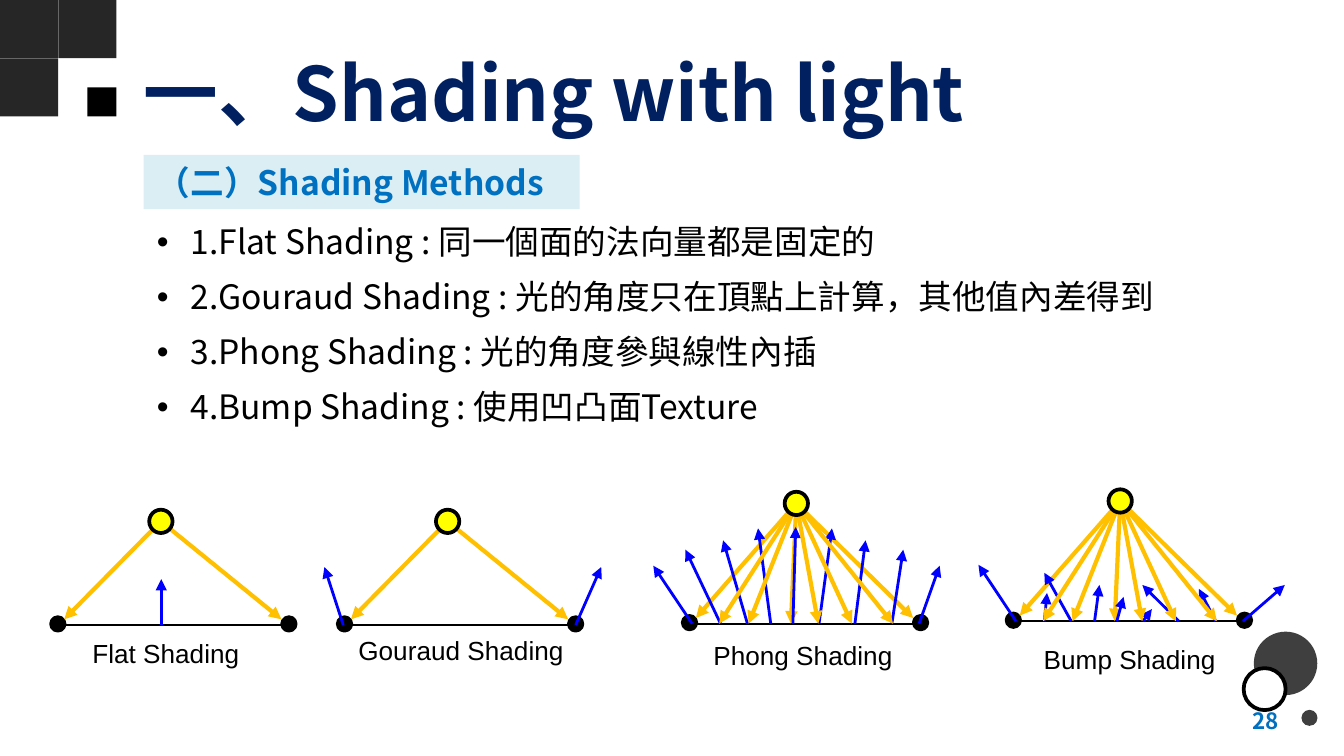
import lxml.etree
import pptx
import pptx.dml.color
import pptx.enum.shapes
import pptx.enum.text
import pptx.oxml.ns
import pptx.util

Pt = pptx.util.Pt
qn = pptx.oxml.ns.qn
ALIGN = pptx.enum.text.PP_ALIGN
ANCHOR = pptx.enum.text.MSO_ANCHOR
SHAPE = pptx.enum.shapes.MSO_SHAPE

COLORS = {
    "black": "000000", "white": "FFFFFF", "corner": "262626", "bubble": "3F3F3F",
    "title": "002060", "accent": "0070C0", "band": "DAEEF3",
    "normal": "0000FF", "ray": "FFC000", "light": "FFFF00",
}
CJK = "Noto Sans CJK TC"


def rgb(name):
    return pptx.dml.color.RGBColor.from_string(COLORS[name])


class Painter:
    """Holds the style and the slide being drawn; lengths are in points."""

    def __init__(self, slide):
        self.slide = slide

    def shape(self, kind, left, top, width, height, fill, outline=None):
        shape = self.slide.shapes.add_shape(kind, Pt(left), Pt(top), Pt(width), Pt(height))
        shape.shadow.inherit = False
        shape.fill.solid()
        shape.fill.fore_color.rgb = rgb(fill)
        if outline:
            shape.line.color.rgb = rgb(outline)
            shape.line.width = Pt(2)
        else:
            shape.line.fill.background()
        return shape

    def circle(self, x, y, diameter, fill, outline=None):
        """Draw a circle centred on x, y."""
        self.shape(SHAPE.OVAL, x - diameter / 2, y - diameter / 2,
                   diameter, diameter, fill, outline)

    def line(self, start, end, color, width, arrow=False):
        line = self.slide.shapes.add_connector(
            pptx.enum.shapes.MSO_CONNECTOR.STRAIGHT, *(Pt(value) for value in (*start, *end)))
        line.line.color.rgb = rgb(color)
        line.line.width = Pt(width)
        if arrow:
            outline = line._element.spPr.find(qn("a:ln"))
            lxml.etree.SubElement(outline, qn("a:tailEnd"), type="triangle")
        lxml.etree.SubElement(line._element.spPr, qn("a:effectLst"))

    def text(self, left, top, width, height, lines, **style):
        box = self.slide.shapes.add_textbox(Pt(left), Pt(top), Pt(width), Pt(height))
        self.fill_text(box.text_frame, lines, **style)

    def fill_text(self, frame, lines, size, color, font=CJK, bold=False,
                  align=ALIGN.LEFT, anchor=ANCHOR.TOP, bullets=False):
        frame.word_wrap = True
        frame.vertical_anchor = anchor
        for index, line in enumerate(lines):
            para = frame.paragraphs[0] if index == 0 else frame.add_paragraph()
            para.text = line
            para.alignment = align
            if bullets:
                self.bullet(para)
                para.line_spacing = 0.9
                if index:
                    para.space_before = Pt(10)
            para.font.name = font
            para.font.size = Pt(size)
            para.font.bold = bold
            para.font.color.rgb = rgb(color)
            defaults = para._p.pPr.find(qn("a:defRPr"))
            lxml.etree.SubElement(defaults, qn("a:ea"), typeface=font)

    def bullet(self, para):
        properties = para._p.get_or_add_pPr()
        properties.set("marL", str(Pt(18)))
        properties.set("indent", str(-Pt(18)))
        lxml.etree.SubElement(properties, qn("a:buFont"), typeface="Arial")
        lxml.etree.SubElement(properties, qn("a:buChar"), char="•")

    def diagram(self, label, origin, light, label_center, normals, inner_rays=()):
        """Draw a lit edge; light, normals and rays are offsets from its left vertex."""
        def place(x, y):
            return origin[0] + x, origin[1] + y

        def ray(x, y):
            self.line(place(*light), place(x, y), "ray", 2.25, arrow=True)

        for x in (0, EDGE):
            self.circle(*place(x, -0.5), 7.2, "black", "black")
        self.line(place(0, 0), place(EDGE, 0), "black", 1)
        for x in inner_rays[:1]:
            ray(x, 0)
        for x in (3.4, EDGE - 4):
            ray(x, -3)
        for foot, tip_x, tip_y in normals:
            self.line(place(foot, 0), place(tip_x, tip_y), "normal", 1.5, arrow=True)
        for x in inner_rays[1:]:
            ray(x, 0)
        self.circle(*place(*light), 12.5, "light", "black")
        self.text(label_center[0] - 65, label_center[1] - 12.25, 130, 24.5, [label],
                  size=14, color="black", font="Arial", align=ALIGN.CENTER)


EDGE = 123.8
FEET = (1.4, 123, 16.6, 108.4, 31, 88.6, 69.4, 43.5, 55.4)
INNER_RAYS = (54.3, 15.9, 31.7, 109, 87, 69)
PHONG_TIPS = ((-19.4, -31), (134, -31), (-2.2, -39.6), (114.5, -39.6), (18, -44.6),
              (94.3, -44.6), (76.3, -51), (36.7, -51), (56.9, -51.8))
BUMP_TIPS = ((-18.7, -30.2), (145.4, -19.4), (18, -15.1), (99.4, -17.3), (16.6, -25.9),
             (69.1, -19.4), (74.2, -6.5), (46.1, -19.4), (59, -13))


def normals_to(tips):
    return [(foot, *tip) for foot, tip in zip(FEET, tips)]


def main():
    deck = pptx.Presentation()
    deck.slide_width, deck.slide_height = Pt(720), Pt(405)
    painter = Painter(deck.slides.add_slide(deck.slide_layouts[6]))

    painter.text(70, 15.3, 487, 67.5, ["一、Shading with light"], size=40,
                 color="title", bold=True, anchor=ANCHOR.MIDDLE)
    for column, row in ((0, 0), (1, 0), (0, 1)):
        painter.shape(SHAPE.RECTANGLE, column * 31.2, row * 31.2, 31.2, 31.2, "corner")
    painter.shape(SHAPE.RECTANGLE, 46.8, 46.8, 15.6, 15.6, "black")

    painter.circle(688.7, 355.4, 34, "bubble")
    painter.circle(701.5, 384.6, 8.6, "bubble")
    painter.circle(677.5, 369.2, 22.5, "white", "black")
    painter.text(524.2, 375.1, 167.8, 21.6, ["28"], size=12, color="accent",
                 bold=True, align=ALIGN.RIGHT, anchor=ANCHOR.MIDDLE)

    band = painter.shape(SHAPE.RECTANGLE, 77, 83, 233.5, 29.1, "band")
    painter.fill_text(band.text_frame, ["（二）Shading Methods"], size=18,
                      color="accent", bold=True)
    painter.text(77, 117.4, 589.7, 128.9, [
        "1.Flat Shading : 同一個面的法向量都是固定的",
        "2.Gouraud Shading : 光的角度只在頂點上計算，其他值內差得到",
        "3.Phong Shading : 光的角度參與線性內插",
        "4.Bump Shading : 使用凹凸面Texture",
    ], size=18, color="black", bullets=True)

    painter.diagram("Flat Shading", (31, 334.8), (55.2, -55.5), (88.9, 350),
                    [(55.4, 55.4, -24.5)])
    painter.diagram("Gouraud Shading", (184.6, 334.8), (55.2, -55.5), (247, 348.5),
                    [(-0.7, -10.8, -31), (EDGE, 137.5, -31)])
    painter.diagram("Phong Shading", (369.4, 334.1), (57.2, -64.4), (430.2, 351.4),
                    normals_to(PHONG_TIPS), INNER_RAYS)
    painter.diagram("Bump Shading", (542.9, 332.8), (57.2, -64.4), (605.2, 353.5),
                    normals_to(BUMP_TIPS), INNER_RAYS)
    deck.save("out.pptx")


if __name__ == "__main__":
    main()
